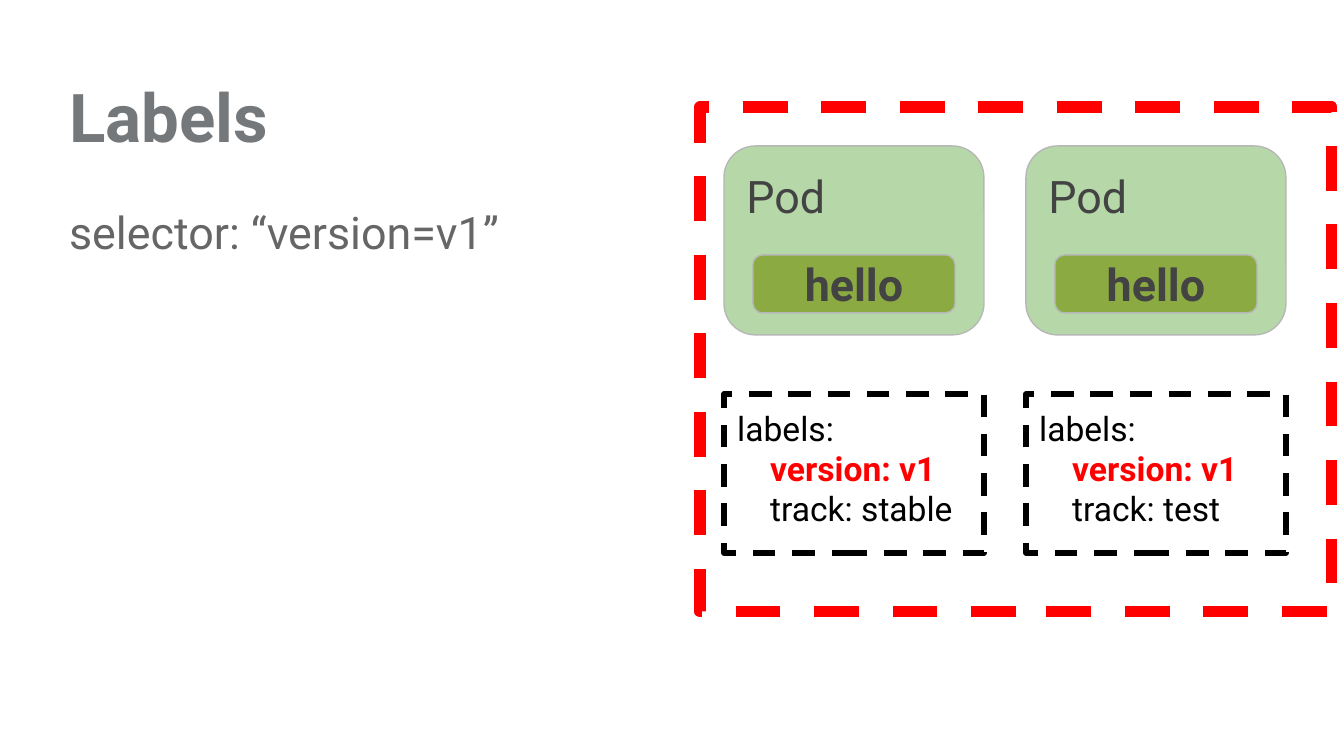
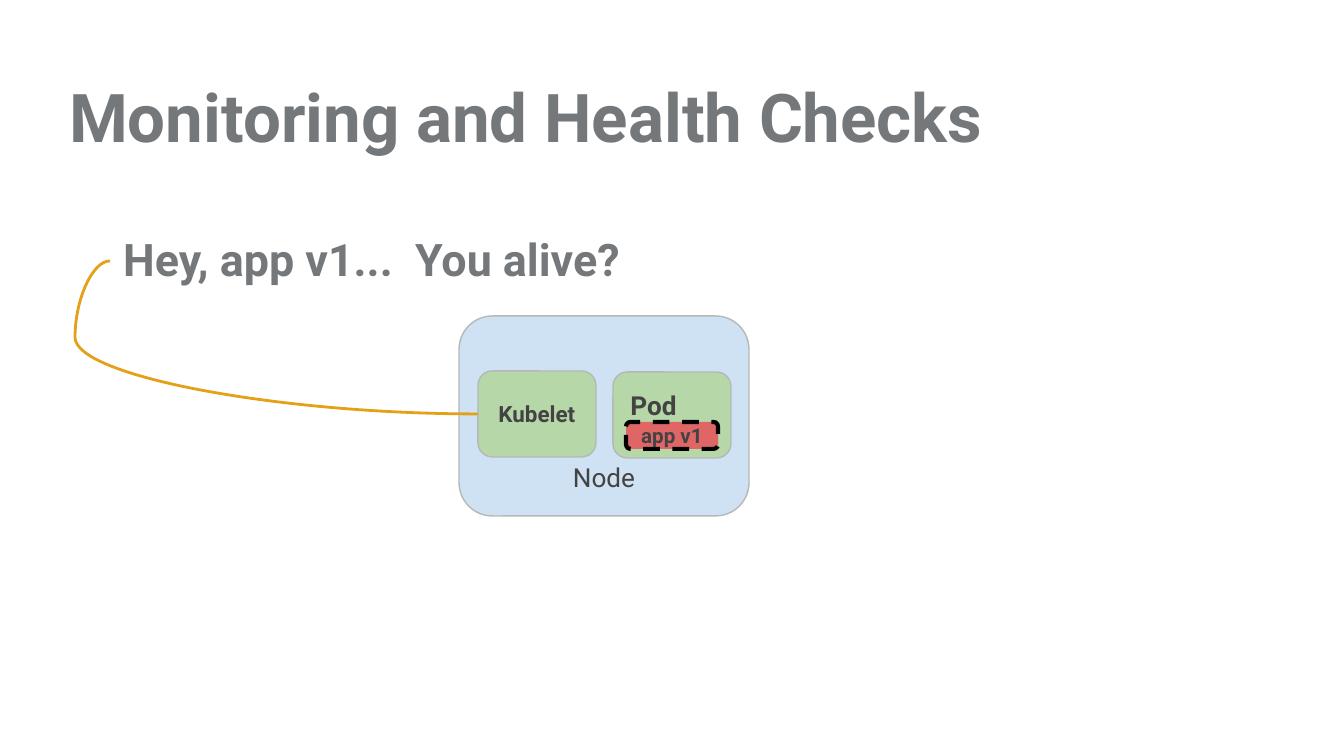
from lxml.etree import SubElement
from pptx import Presentation
from pptx.dml.color import RGBColor
from pptx.enum.dml import MSO_LINE
from pptx.enum.shapes import MSO_CONNECTOR, MSO_SHAPE
from pptx.enum.text import MSO_ANCHOR, PP_ALIGN
from pptx.oxml.ns import qn
from pptx.util import Inches, Pt

FONT = "Roboto"
TITLE_GREY = RGBColor(0x75, 0x78, 0x7A)
BODY_GREY = RGBColor(0x66, 0x66, 0x66)
DARK = RGBColor(0x43, 0x43, 0x43)
OUTLINE = RGBColor(0xB7, 0xB7, 0xB7)
BLACK = RGBColor(0, 0, 0)
RED = RGBColor(0xFF, 0, 0)
POD_GREEN = RGBColor(0xB6, 0xD7, 0xA8)
HELLO_GREEN = RGBColor(0x8B, 0xAB, 0x42)
NODE_BLUE = RGBColor(0xCF, 0xE2, 0xF3)
APP_RED = RGBColor(0xE0, 0x66, 0x66)
AMBER = RGBColor(0xE4, 0xA0, 0x17)

PAGE_WIDTH, PAGE_HEIGHT = 1344, 756
SCALE = Inches(10) / PAGE_WIDTH

TITLES = ["Labels", "Monitoring and Health Checks"]
SELECTOR = "selector: “version=v1”"
POD_LABELS = [
    ["labels:", "version: v1", "track: stable"],
    ["labels:", "version: v1", "track: test"],
]
MATCH = "version: v1"
QUESTION = "Hey, app v1...  You alive?"

POD_LEFT, POD_STEP, POD_WIDTH = 724, 302, 260
LABEL_INDENT = 33


def px(length):
    return round(length * SCALE)


def write(shape, lines, size, color, bold=False, align=PP_ALIGN.LEFT,
          anchor=MSO_ANCHOR.TOP):
    """Fill the shape with one paragraph per line and return the paragraphs."""
    frame = shape.text_frame
    frame.word_wrap = True
    frame.vertical_anchor = anchor
    frame.margin_left = frame.margin_right = Inches(0.1)
    frame.margin_top = frame.margin_bottom = Inches(0.1)
    frame.text = "\n".join(lines)
    for para in frame.paragraphs:
        para.alignment = align
        font = para.font
        font.name, font.size, font.bold = FONT, Pt(size), bold
        font.color.rgb = color
    return frame.paragraphs


def add_text(page, area, text, size, color, bold=False):
    box = page.shapes.add_textbox(*map(px, area))
    para = write(box, [text], size, color, bold)[0]
    return box, para


def add_box(page, area, fill=None, line=OUTLINE, width=0.75,
            kind=MSO_SHAPE.ROUNDED_RECTANGLE, dashed=False):
    box = page.shapes.add_shape(kind, *map(px, area))
    box.shadow.inherit = False
    if fill is None:
        box.fill.background()
    else:
        box.fill.solid()
        box.fill.fore_color.rgb = fill
    box.line.color.rgb = line
    box.line.width = Pt(width)
    if dashed:
        box.line.dash_style = MSO_LINE.DASH
    return box


def add_page(deck, title):
    page = deck.slides.add_slide(deck.slide_layouts[6])
    para = add_text(page, (56, 71, 1210, 134), title, 36, TITLE_GREY, True)[1]
    para.line_spacing = 0.9
    return page


def add_curve(page, start, end, bulge):
    """Join the left sides of two shapes; bulge is the curve's bend in 1/100000."""
    curve = page.shapes.add_connector(MSO_CONNECTOR.CURVE, 0, 0, 0, 0)
    curve.begin_connect(start, 1)
    curve.end_connect(end, 1)
    curve.line.color.rgb = AMBER
    curve.line.width = Pt(1.5)
    properties = curve.element.spPr
    SubElement(properties, qn("a:effectLst"))
    guides = properties.find(qn("a:prstGeom")).get_or_add_avLst()
    SubElement(guides, qn("a:gd"), name="adj1", fmla=f"val {bulge}")


def build_labels(deck):
    page = add_page(deck, TITLES[0])
    para = add_text(page, (56, 191, 521, 470), SELECTOR, 24, BODY_GREY)[1]
    para.space_after = Pt(10)
    for index, labels in enumerate(POD_LABELS):
        left = POD_LEFT + index * POD_STEP
        pod = add_box(page, (left, 146, POD_WIDTH, 189), POD_GREEN)
        write(pod, ["Pod"], 24, DARK)
        hello = add_box(page, (left + 29, 255, 202, 58), HELLO_GREEN)
        write(hello, ["hello"], 24, DARK, True, PP_ALIGN.CENTER, MSO_ANCHOR.MIDDLE)
        card = add_box(page, (left, 394, POD_WIDTH, 159), None, BLACK, 3,
                       MSO_SHAPE.RECTANGLE, True)
        heading, *entries = write(card, labels, 18, BLACK)
        for entry in entries:
            entry.element.get_or_add_pPr().set("marL", str(px(LABEL_INDENT))) \
                if hasattr(entry, "element") else \
                entry._p.get_or_add_pPr().set("marL", str(px(LABEL_INDENT)))
            if entry.text == MATCH:
                entry.font.color.rgb = RED
                entry.font.bold = True
    add_box(page, (700, 107, 632, 505), None, RED, 6, MSO_SHAPE.RECTANGLE, True)


def build_health_checks(deck):
    page = add_page(deck, TITLES[1])
    question = add_text(page, (110, 218, 718, 86), QUESTION, 24, TITLE_GREY, True)[0]
    node = add_box(page, (459, 316, 290, 200), NODE_BLUE)
    write(node, ["Node"], 14, DARK, False, PP_ALIGN.CENTER, MSO_ANCHOR.BOTTOM)
    kubelet = add_box(page, (478, 371, 118, 86), POD_GREEN)
    write(kubelet, ["Kubelet"], 12, DARK, True, PP_ALIGN.CENTER, MSO_ANCHOR.MIDDLE)
    add_curve(page, kubelet, question, 109500)
    pod = add_box(page, (613, 372, 118, 86), POD_GREEN)
    write(pod, ["Pod"], 14, DARK, True)
    app = add_box(page, (626, 422, 92, 27), APP_RED, BLACK, 2.25, dashed=True)
    write(app, ["app v1"], 11, DARK, True, PP_ALIGN.CENTER, MSO_ANCHOR.MIDDLE)


def main():
    deck = Presentation()
    deck.slide_width, deck.slide_height = px(PAGE_WIDTH), px(PAGE_HEIGHT)
    build_labels(deck)
    build_health_checks(deck)
    deck.save("out.pptx")


if __name__ == "__main__":
    main()
